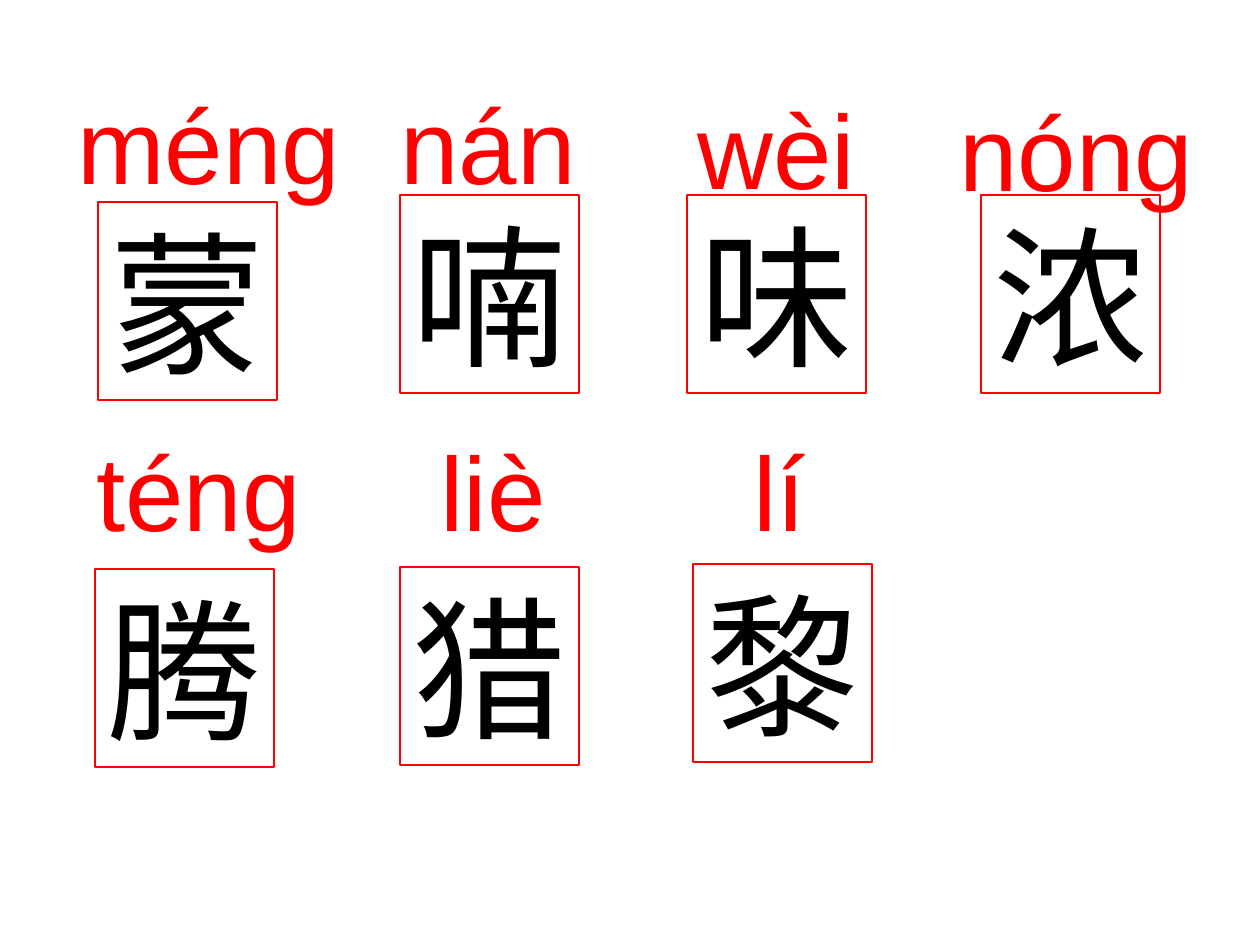
from pptx import Presentation
from pptx.dml.color import RGBColor
from pptx.enum.shapes import MSO_SHAPE
from pptx.enum.text import MSO_ANCHOR, MSO_AUTO_SIZE, PP_ALIGN
from pptx.util import Pt

RECT = MSO_SHAPE.RECTANGLE
TOP = MSO_ANCHOR.TOP
GROW = MSO_AUTO_SIZE.SHAPE_TO_FIT_TEXT
LEFT = PP_ALIGN.LEFT
RED = RGBColor(255, 0, 0)
BLACK = RGBColor(0, 0, 0)
WHITE = RGBColor(255, 255, 255)
FONT = "Arial"
SCALE = 914400 / 126

HANZI = [
    ("蒙", 98, 202), ("喃", 400, 195), ("味", 687, 195), ("浓", 981, 195),
    ("腾", 95, 569), ("猎", 400, 567), ("黎", 693, 564),
]
PINYIN = [
    ("méng", 65, 73, 292), ("nán", 388, 73, 204), ("wèi", 685, 78, 187),
    ("nóng", 947, 80, 264), ("téng", 84, 420, 234), ("liè", 428, 420, 134),
    ("lí", 741, 420, 82),
]


def px(*sizes):
    """Turn pixels into EMU."""
    return [round(size * SCALE) for size in sizes]


def write(shape, text, size, color):
    """Put one line of text in a shape."""
    frame = shape.text_frame
    frame.word_wrap = False
    frame.auto_size = GROW
    frame.vertical_anchor = TOP
    para = frame.paragraphs[0]
    para.alignment = LEFT
    run = para.add_run()
    run.text = text
    run.font.size = Pt(size)
    run.font.name = FONT
    run.font.color.rgb = color


def add_card(slide, text, left, top):
    """Add a framed character."""
    card = slide.shapes.add_shape(RECT, *px(left, top, 179, 198))
    card.shadow.inherit = False
    card.fill.solid()
    card.fill.fore_color.rgb = WHITE
    card.line.color.rgb = RED
    card.line.width = Pt(1)
    write(card, text, 88, BLACK)


def add_sound(slide, text, left, top, width):
    """Add a pinyin label."""
    box = slide.shapes.add_textbox(*px(left, top, width, 139))
    write(box, text, 60, RED)


def main():
    """Build the slide of characters and their sounds."""
    deck = Presentation()
    deck.slide_width, deck.slide_height = px(1260, 945)
    slide = deck.slides.add_slide(deck.slide_layouts[6])
    for card in HANZI:
        add_card(slide, *card)
    for sound in PINYIN:
        add_sound(slide, *sound)
    deck.save("out.pptx")


if __name__ == "__main__":
    main()
